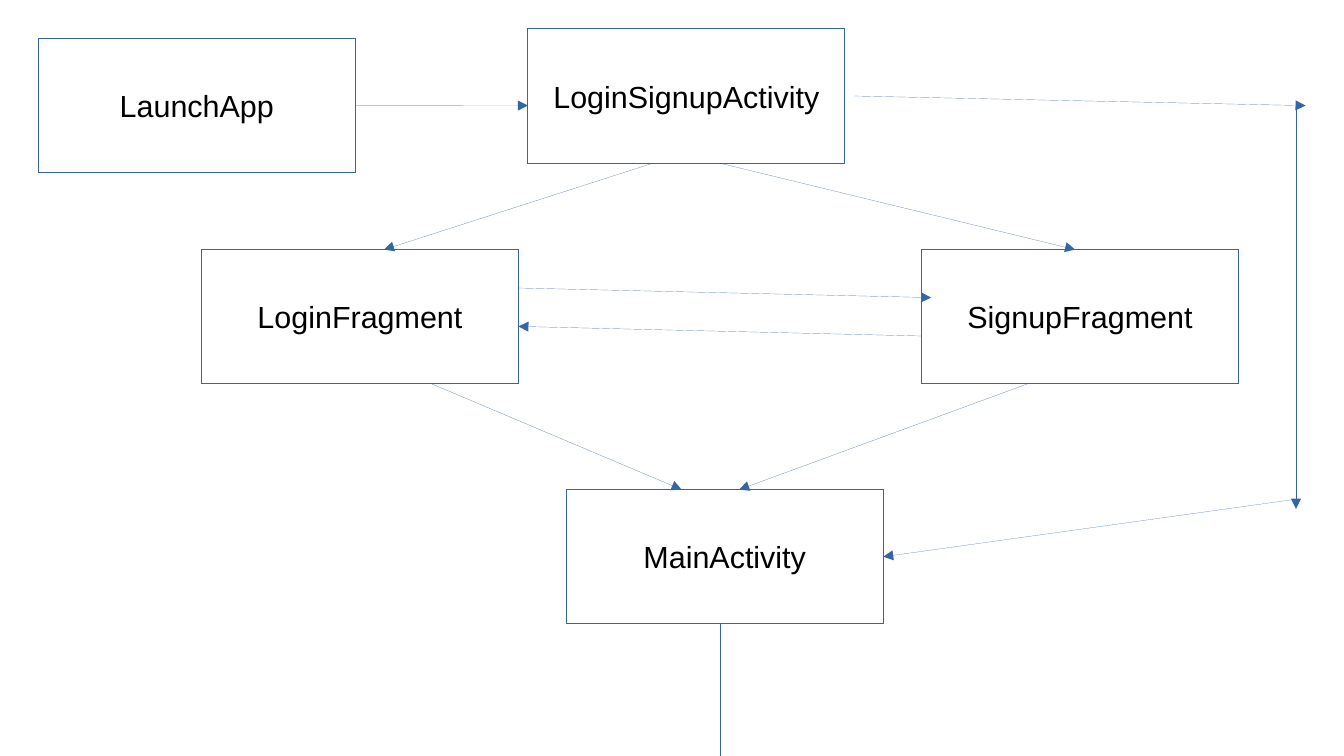
from dataclasses import dataclass
from typing import Optional

from lxml.etree import SubElement
from pptx import Presentation
from pptx.dml.color import RGBColor
from pptx.enum.shapes import MSO_CONNECTOR, MSO_SHAPE
from pptx.enum.text import MSO_ANCHOR, PP_ALIGN
from pptx.oxml.ns import qn
from pptx.shapes.autoshape import Shape
from pptx.shapes.connector import Connector
from pptx.slide import Slide
from pptx.util import Cm, Pt

BLUE = RGBColor(0x34, 0x65, 0xA4)
WHITE = RGBColor(0xFF, 0xFF, 0xFF)
BLACK = RGBColor(0x00, 0x00, 0x00)
SLIDE_WIDTH = 28
SLIDE_HEIGHT = 15.75
BOX_WIDTH = 6.6
BOX_HEIGHT = 2.8
RIGHT_SIDE = 3


@dataclass(frozen=True)
class Box:
    name: str
    left: float
    top: float


@dataclass(frozen=True)
class Joint:
    box: str
    side: int


@dataclass(frozen=True)
class Arrow:
    start: tuple[float, float]
    end: tuple[float, float]
    start_joint: Optional[Joint] = None
    end_joint: Optional[Joint] = None
    has_head: bool = True


BOXES = [
    Box("LaunchApp", 0.8, 0.8),
    Box("LoginSignupActivity", 11, 0.6),
    Box("LoginFragment", 4.2, 5.2),
    Box("SignupFragment", 19.2, 5.2),
    Box("MainActivity", 11.8, 10.2),
]

ARROWS = [
    Arrow((7.4, 2.2), (11, 2.2), start_joint=Joint("LaunchApp", RIGHT_SIDE)),
    Arrow((13.6, 3.4), (8, 5.2)),
    Arrow((15, 3.4), (22.4, 5.2)),
    Arrow((10.8, 6), (19.4, 6.2)),
    Arrow((19.2, 7), (10.8, 6.8)),
    Arrow((9, 8), (14.2, 10.2)),
    Arrow((21.4, 8), (15.4, 10.2)),
    Arrow((17.8, 2), (27.2, 2.2)),
    Arrow((27, 2.2), (27, 10.6)),
    Arrow((27, 10.4), (18.4, 11.6), end_joint=Joint("MainActivity", RIGHT_SIDE)),
    Arrow((15, 13), (15, SLIDE_HEIGHT), has_head=False),
]


def draw_hairline(item: Shape | Connector) -> None:
    item.line.color.rgb = BLUE
    item.element.spPr.find(qn("a:ln")).set("w", "0")


def draw_box(slide: Slide, box: Box) -> Shape:
    shape = slide.shapes.add_shape(
        MSO_SHAPE.RECTANGLE, Cm(box.left), Cm(box.top), Cm(BOX_WIDTH), Cm(BOX_HEIGHT)
    )
    shape.shadow.inherit = False
    shape.fill.solid()
    shape.fill.fore_color.rgb = WHITE
    draw_hairline(shape)
    frame = shape.text_frame
    frame.word_wrap = False
    frame.vertical_anchor = MSO_ANCHOR.MIDDLE
    paragraph = frame.paragraphs[0]
    paragraph.text = box.name
    paragraph.alignment = PP_ALIGN.CENTER
    paragraph.font.name = "Arial"
    paragraph.font.size = Pt(18)
    paragraph.font.color.rgb = BLACK
    return shape


def draw_arrow(slide: Slide, arrow: Arrow, shapes: dict[str, Shape]) -> None:
    connector = slide.shapes.add_connector(
        MSO_CONNECTOR.STRAIGHT, *map(Cm, arrow.start + arrow.end)
    )
    if arrow.start_joint:
        connector.begin_connect(shapes[arrow.start_joint.box], arrow.start_joint.side)
    if arrow.end_joint:
        connector.end_connect(shapes[arrow.end_joint.box], arrow.end_joint.side)
    draw_hairline(connector)
    properties = connector.element.spPr
    if arrow.has_head:
        SubElement(properties.find(qn("a:ln")), qn("a:tailEnd"), type="triangle")
    SubElement(properties, qn("a:effectLst"))


def main() -> None:
    presentation = Presentation()
    presentation.slide_width = Cm(SLIDE_WIDTH)
    presentation.slide_height = Cm(SLIDE_HEIGHT)
    slide = presentation.slides.add_slide(presentation.slide_layouts[6])
    shapes = {box.name: draw_box(slide, box) for box in BOXES}
    for arrow in ARROWS:
        draw_arrow(slide, arrow, shapes)
    presentation.save("out.pptx")


if __name__ == "__main__":
    main()
